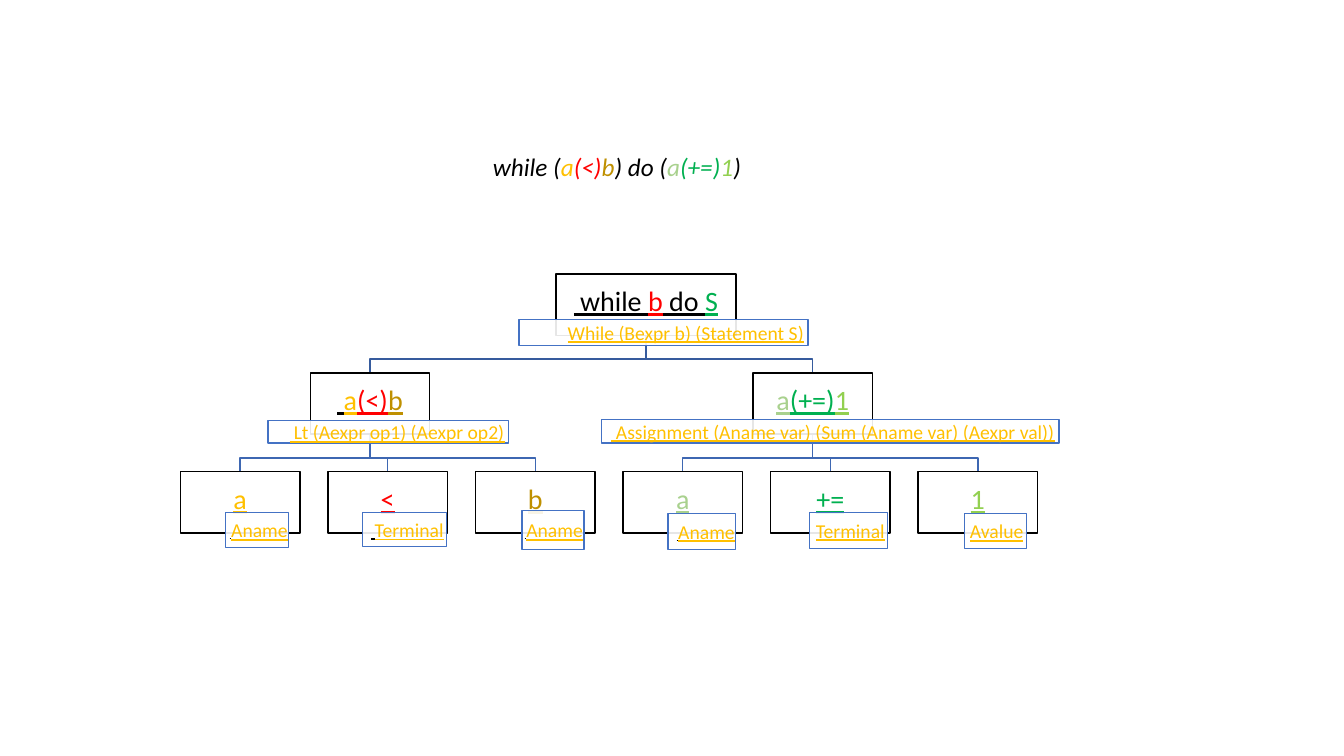
from collections import namedtuple

from lxml import etree
from pptx import Presentation, util as u
from pptx.dml.color import RGBColor
from pptx.enum import shapes, text
from pptx.oxml import ns

BLACK = RGBColor(0x00, 0x00, 0x00)
WHITE = RGBColor(0xFF, 0xFF, 0xFF)
GOLD = RGBColor(0xFF, 0xC0, 0x00)
OCHRE = RGBColor(0xBF, 0x90, 0x00)
RED = RGBColor(0xFF, 0x00, 0x00)
GREEN = RGBColor(0x00, 0xB0, 0x50)
LIME = RGBColor(0x92, 0xD0, 0x50)
SAGE = RGBColor(0xA9, 0xD1, 0x8E)
BLUE = RGBColor(0x44, 0x72, 0xC4)
UPPER_LINK = RGBColor(0x36, 0x5B, 0x9D)
LOWER_LINK = RGBColor(0x3E, 0x67, 0xB2)

NODE_WIDTH, ROOT_WIDTH, NODE_HEIGHT, BEND = 0.81, 1.22, 0.62, 0.86
NODE_INSETS = (0.01, 0.01, 0.01, 0.09)
RULE_INSETS = (0.04, 0.01, 0.04, 0.01)
TERMINAL_INSETS = (0.03, 0.01, 0.03, 0.01)
NAME_INSETS = (0.01, 0, 0.01, 0)

Box = namedtuple("Box", "left top width height")
Node = namedtuple("Node", "col row width term tag_box tag insets children")

CONDITION = [("a", GOLD), ("(<)", RED), ("b", OCHRE)]
STATEMENT = [("a", SAGE), ("(+=)", GREEN), ("1", LIME)]


def rule(col, row, term, tag_box, tag, children, width=NODE_WIDTH):
    """Describe an inner node whose tag names a grammar rule."""
    return Node(col, row, width, term, tag_box, [(tag, GOLD)], RULE_INSETS, children)


def leaf(col, term, color, tag_box, tag, insets=TERMINAL_INSETS, gap=0):
    """Describe a leaf, with an optional small space of gap points before its tag."""
    runs = [(" ", BLACK, gap)] * bool(gap) + [(tag, GOLD)]
    return Node(col, 2, NODE_WIDTH, [(term, color)], tag_box, runs, insets, [])


TREE = rule(
    2.75, 0, [(" while\u00a0", BLACK), ("b", RED), (" do\u00a0", BLACK), ("S", GREEN)],
    Box(-0.86, 0.46, 1.96, 0.26), "While\u00a0(Bexpr\u00a0b)\u00a0(Statement\u00a0S)",
    [
        rule(0.88, 1, [("\u00a0", BLACK)] + CONDITION, Box(-0.69, 0.48, 1.63, 0.23),
             " Lt\u00a0(Aexpr\u00a0op1)\u00a0(Aexpr\u00a0op2)",
             [leaf(0, "a", GOLD, Box(-0.1, 0.41, 0.43, 0.36), "Aname", NAME_INSETS, 5),
              leaf(1, "<", RED, Box(-0.17, 0.41, 0.57, 0.35), "Terminal", gap=11),
              leaf(2, "b", OCHRE, Box(-0.09, 0.39, 0.42, 0.4), "Aname", NAME_INSETS, 5)]),
        rule(3.88, 1, STATEMENT, Box(-1.43, 0.47, 3.1, 0.24),
             " Assignment (Aname var) (Sum (Aname var) (Aexpr val))",
             [leaf(3, "a", SAGE, Box(-0.1, 0.42, 0.46, 0.37), "Aname", NAME_INSETS, 5),
              leaf(4, "+=", GREEN, Box(-0.14, 0.41, 0.53, 0.37), "Terminal"),
              leaf(5, "1", LIME, Box(-0.09, 0.42, 0.42, 0.36), "Avalue")]),
    ],
    ROOT_WIDTH)


def write(frame, runs, size, insets, align, wrap=True, **style):
    """Write coloured runs as one paragraph of the frame."""
    frame.word_wrap = wrap
    frame.margin_left, frame.margin_top, frame.margin_right, frame.margin_bottom = map(u.Inches, insets)
    frame.vertical_anchor = text.MSO_ANCHOR.MIDDLE
    line = frame.paragraphs[0]
    line.alignment = align
    for words, color, *own_size in runs:
        run = line.add_run()
        run.text = words
        run.font.name = "Calibri"
        run.font.size = u.Pt(own_size[0] if own_size else size)
        run.font.color.rgb = color
        for name, value in style.items():
            setattr(run.font, name, value)


def draw_expression(slide, box):
    """Place the expression that the tree breaks down."""
    expression = slide.shapes.add_textbox(*map(u.Inches, box))
    runs = ([("while\u00a0(", BLACK)] + CONDITION + [(")\u00a0do\u00a0(", BLACK)]
            + STATEMENT + [(")", BLACK)])
    write(expression.text_frame, runs, 18, (0.1, 0.05, 0.1, 0.05),
          text.PP_ALIGN.LEFT, wrap=False, italic=True)


def draw_frame(slide, box, border):
    """Draw a white rectangle with a thin border."""
    frame = slide.shapes.add_shape(shapes.MSO_SHAPE.RECTANGLE, *map(u.Inches, box))
    frame.shadow.inherit = False
    frame.fill.solid()
    frame.fill.fore_color.rgb = WHITE
    frame.line.color.rgb = border
    frame.line.width = u.Pt(1)
    return frame


def draw_tree(slide, box, columns=6, rows=3):
    """Lay the syntax tree out on a grid inside the box."""
    col_width, row_height = box.width / columns, box.height / rows

    def at(col, row):
        return box.left + (col + 0.5) * col_width, box.top + row * row_height

    def cell(col, row, width, height):
        return Box(*at(col, row), width * col_width, height * row_height)

    def draw_links(parent):
        for child in reversed(parent.children):
            draw_links(child)
            bends = [(parent.col, parent.row + NODE_HEIGHT), (parent.col, parent.row + BEND),
                     (child.col, parent.row + BEND), (child.col, child.row)]
            start, *rest = [tuple(map(u.Inches, at(*bend))) for bend in bends]
            builder = slide.shapes.build_freeform(*start)
            builder.add_line_segments(rest, close=False)
            link = builder.convert_to_shape()
            link.shadow.inherit = False
            link.fill.background()
            link.line.color.rgb = LOWER_LINK if parent.row else UPPER_LINK
            link.line.width = u.Pt(1)

    def draw_node(node):
        term = draw_frame(slide, cell(node.col - node.width / 2, node.row,
                                      node.width, NODE_HEIGHT), BLACK)
        write(term.text_frame, node.term, 20, NODE_INSETS, text.PP_ALIGN.CENTER, underline=True)
        shift = node.tag_box
        tag = draw_frame(slide, cell(node.col + shift.left, node.row + shift.top,
                                     shift.width, shift.height), BLUE)
        tint = tag.element.spPr.find(ns.qn("a:solidFill"))[0]
        etree.SubElement(tint, ns.qn("a:alpha")).set("val", "90000")
        write(tag.text_frame, node.tag, 14, node.insets, text.PP_ALIGN.RIGHT, underline=True)
        for child in node.children:
            draw_node(child)

    draw_links(TREE)
    draw_node(TREE)


def main():
    """Build and save the slide."""
    deck = Presentation()
    deck.slide_width, deck.slide_height = u.Inches(13.33), u.Inches(7.5)
    slide = deck.slides.add_slide(deck.slide_layouts[6])
    draw_expression(slide, Box(4.79, 1.45, 2.69, 0.4))
    draw_tree(slide, Box(1.65, 2.72, 8.78, 2.94))
    deck.save("out.pptx")


main()
